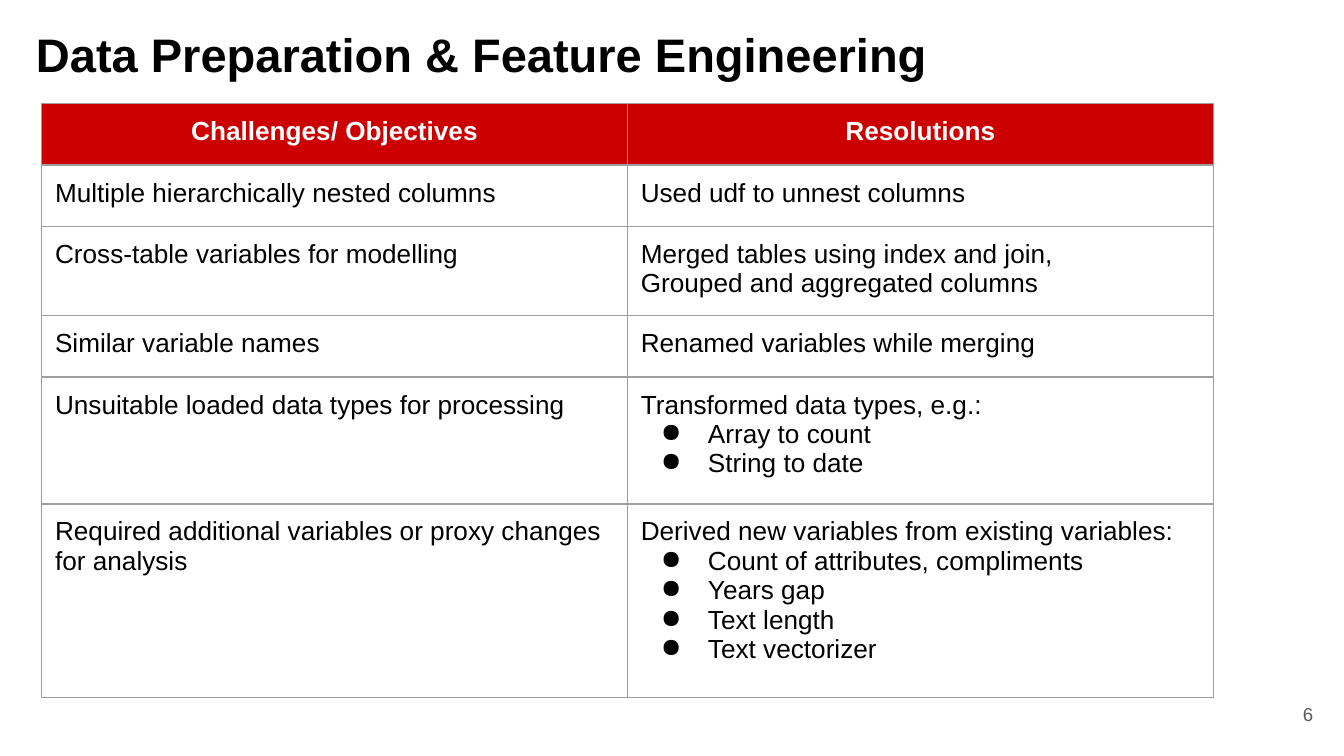
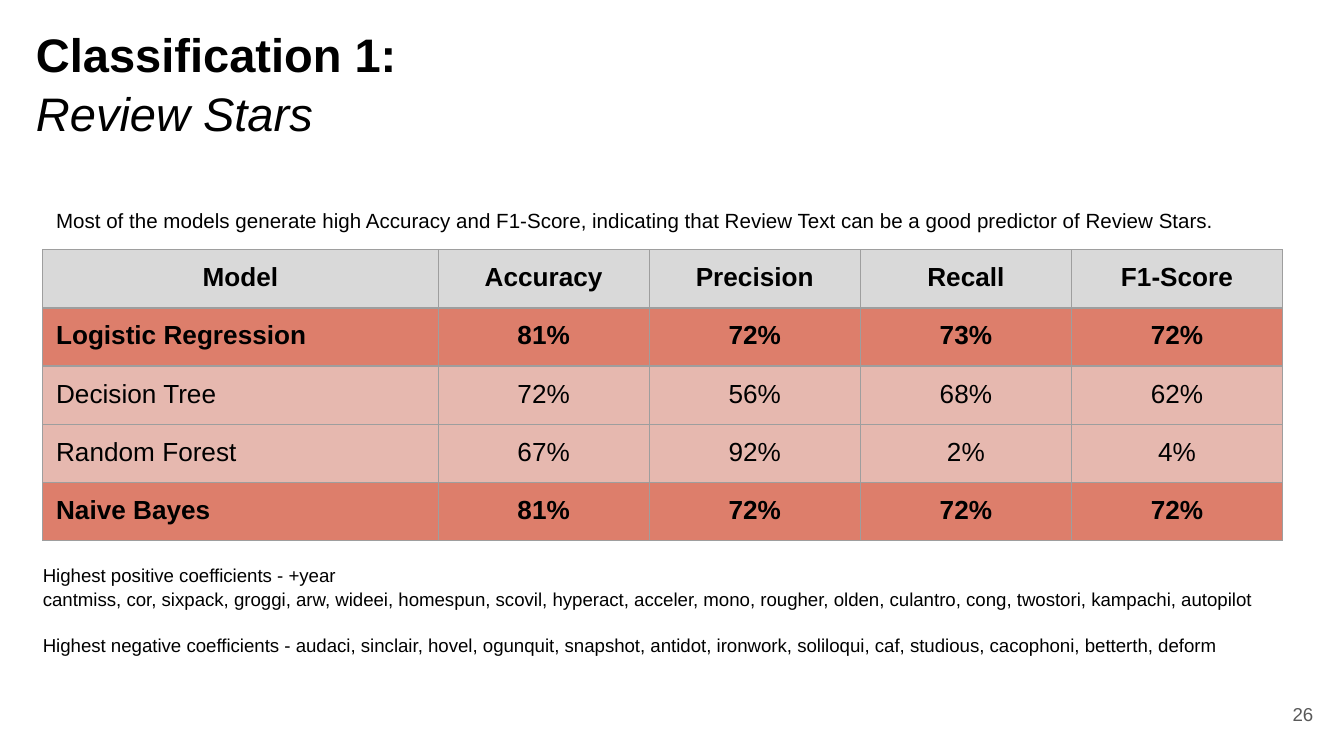
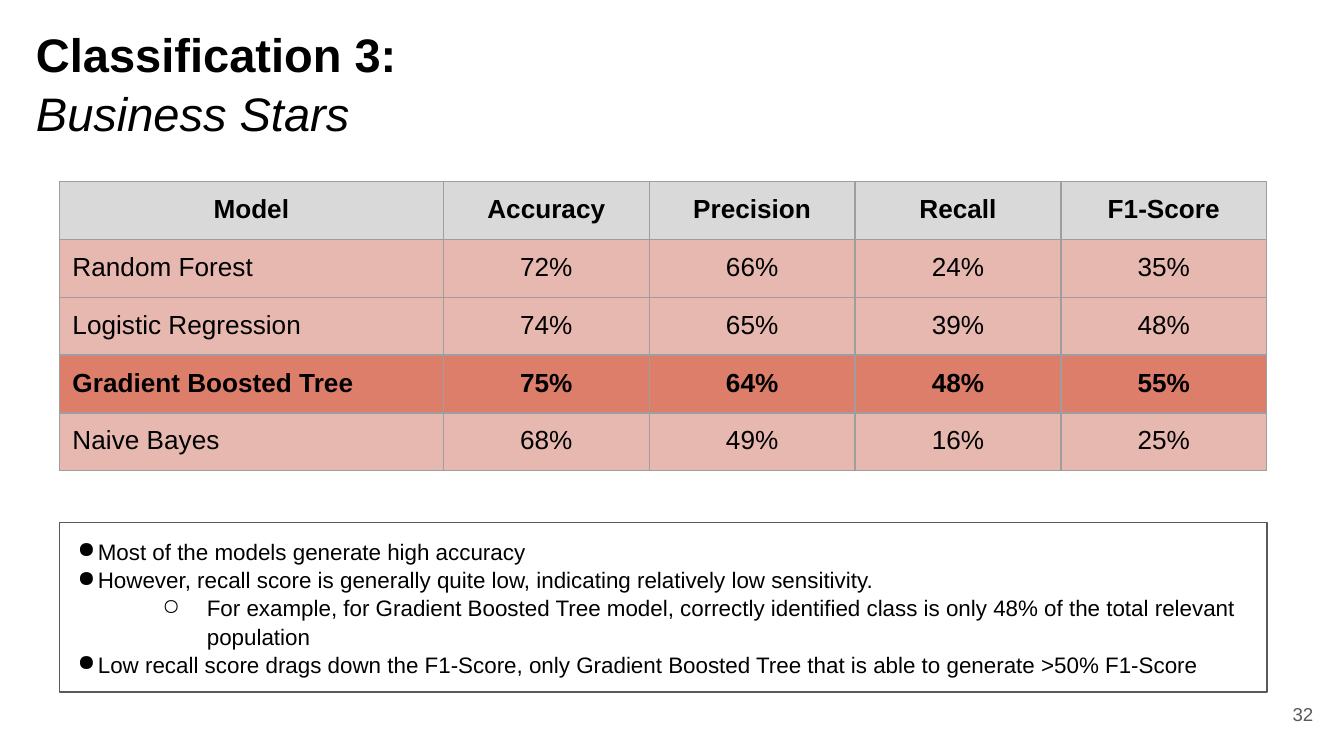
from dataclasses import dataclass

from lxml.etree import SubElement
from pptx import Presentation
from pptx.dml.color import RGBColor
from pptx.enum.shapes import MSO_SHAPE
from pptx.enum.text import MSO_ANCHOR, PP_ALIGN
from pptx.oxml.ns import qn
from pptx.slide import Slide
from pptx.table import _Cell
from pptx.text.text import TextFrame, _Paragraph
from pptx.util import Cm, Pt


@dataclass(frozen=True)
class Theme:
    font: str = "Arial"
    black: str = "000000"
    white: str = "FFFFFF"
    gray: str = "595959"
    rule: str = "9E9E9E"
    red: str = "CC0000"
    silver: str = "D9D9D9"
    coral: str = "DD7E6B"
    blush: str = "E6B8AF"
    title: float = 25.2
    table: float = 14
    box: float = 12
    lead: float = 11
    small: float = 10
    stroke: float = 0.75
    inset: float = 0.25
    spread: float = 1.05


THEME = Theme()


@dataclass(frozen=True)
class Area:
    """A place on the slide, in centimetres."""
    left: float
    top: float
    width: float
    height: float


@dataclass(frozen=True)
class Bullet:
    """A list mark with its left margin and hanging indent in centimetres."""
    mark: str
    left: float
    hang: float
    level: int = 0


@dataclass(frozen=True)
class Line:
    text: str
    bold: bool = False
    slant: bool = False
    bullet: Bullet | None = None
    before: float = 0


@dataclass(frozen=True)
class Style:
    size: float
    color: str = THEME.black
    align: PP_ALIGN = PP_ALIGN.LEFT
    spread: float = THEME.spread


@dataclass(frozen=True)
class Row:
    cells: list[list[Line]]
    height: float
    fill: str | None = None
    color: str = THEME.black
    head: bool = False


@dataclass(frozen=True)
class Grid:
    left: float
    top: float
    widths: list[float]
    rows: list[Row]
    center: bool = False


CELL_DOT = Bullet("●", 1.27, 0.89)
BOX_DOT = Bullet("●", 0.48, 0.38)
BOX_RING = Bullet("○", 2.54, 0.84, 1)

PAGE = Area(23.55, 12.95, 1.52, 1.09)
HEADS = ["Model", "Accuracy", "Precision", "Recall", "F1-Score"]


def mark_line(para: _Paragraph, bullet: Bullet) -> None:
    para.level = bullet.level
    props = para._p.get_or_add_pPr()
    props.set("marL", str(Cm(bullet.left)))
    props.set("indent", str(-Cm(bullet.hang)))
    tint = SubElement(props, qn("a:buClr"))
    SubElement(tint, qn("a:srgbClr"), val=THEME.black)
    SubElement(props, qn("a:buChar"), char=bullet.mark)


def write(frame: TextFrame, lines: list[Line], style: Style) -> None:
    for index, line in enumerate(lines):
        para = frame.add_paragraph() if index else frame.paragraphs[0]
        para.text = line.text
        if line.bullet:
            mark_line(para, line.bullet)
        para.alignment = style.align
        para.line_spacing = style.spread
        if line.before:
            para.space_before = Pt(line.before)
        for run in para.runs:
            font = run.font
            font.name, font.size = THEME.font, Pt(style.size)
            font.bold, font.italic = line.bold, line.slant
            font.color.rgb = RGBColor.from_string(style.color)


def pad(item: TextFrame | _Cell) -> None:
    item.margin_left = item.margin_right = Cm(THEME.inset)
    item.margin_top = item.margin_bottom = Cm(THEME.inset)


def add_text(slide: Slide, area: Area, lines: list[Line], style: Style,
             framed: bool = False, anchor: MSO_ANCHOR = MSO_ANCHOR.TOP) -> None:
    place = Cm(area.left), Cm(area.top), Cm(area.width), Cm(area.height)
    if framed:
        shape = slide.shapes.add_shape(MSO_SHAPE.RECTANGLE, *place)
        shape.shadow.inherit = False
        shape.fill.background()
        shape.line.color.rgb = RGBColor.from_string(THEME.gray)
        shape.line.width = Pt(THEME.stroke)
    else:
        shape = slide.shapes.add_textbox(*place)
    frame = shape.text_frame
    frame.word_wrap = True
    frame.vertical_anchor = anchor
    pad(frame)
    write(frame, lines, style)


def edge_cell(cell: _Cell) -> None:
    """Draw the four borders; call before the fill is set."""
    props = cell._tc.get_or_add_tcPr()
    for side in ("lnL", "lnR", "lnT", "lnB"):
        edge = SubElement(props, qn(f"a:{side}"), w=str(Pt(THEME.stroke)))
        fill = SubElement(edge, qn("a:solidFill"))
        SubElement(fill, qn("a:srgbClr"), val=THEME.rule)


def add_grid(slide: Slide, grid: Grid) -> None:
    table = slide.shapes.add_table(
        len(grid.rows), len(grid.widths), Cm(grid.left), Cm(grid.top),
        Cm(sum(grid.widths)), Cm(sum(row.height for row in grid.rows))).table
    table.first_row = table.horz_banding = False
    for column, width in zip(table.columns, grid.widths):
        column.width = Cm(width)
    for y, row in enumerate(grid.rows):
        table.rows[y].height = Cm(row.height)
        for x, lines in enumerate(row.cells):
            cell = table.cell(y, x)
            pad(cell)
            edge_cell(cell)
            if row.fill:
                cell.fill.solid()
                cell.fill.fore_color.rgb = RGBColor.from_string(row.fill)
            else:
                cell.fill.background()
            middle = row.head or (grid.center and x > 0)
            align = PP_ALIGN.CENTER if middle else PP_ALIGN.LEFT
            write(cell.text_frame, lines,
                  Style(THEME.table, row.color, align, 1.0))


def score_grid(left: float, top: float, widths: tuple[float, float],
               height: float, scores: list[str], best: set[str]) -> Grid:
    """Lay out model scores, with the best models in bold on coral."""
    rows = [Row([[Line(head, bold=True)] for head in HEADS],
                height, THEME.silver, head=True)]
    for score in scores:
        model, *values = score.split(", ")
        top_model = model in best
        cells = [[Line(text, bold=top_model)] for text in (model, *values)]
        rows.append(Row(cells, height,
                        THEME.coral if top_model else THEME.blush))
    first, other = widths
    return Grid(left, top, [first] + [other] * (len(HEADS) - 1), rows, True)


def add_slide(deck: Presentation, number: int, title: str,
              topic: str = "") -> Slide:
    slide = deck.slides.add_slide(deck.slide_layouts[6])
    add_text(slide, PAGE, [Line(str(number))],
             Style(THEME.small, THEME.gray, PP_ALIGN.RIGHT),
             anchor=MSO_ANCHOR.MIDDLE)
    lines = [Line(title, bold=True)]
    if topic:
        lines.append(Line(topic, slant=True))
    add_text(slide, Area(0.43, 0.18, 19.69, 2.57 if topic else 1.6),
             lines, Style(THEME.title))
    return slide


def add_prep(deck: Presentation) -> None:
    slide = add_slide(deck, 6, "Data Preparation & Feature Engineering")
    heads = ["Challenges/ Objectives", "Resolutions"]
    rows = [Row([[Line(head, bold=True)] for head in heads], 1.16,
                THEME.red, THEME.white, True)]
    tasks = [
        (1.16, "Multiple hierarchically nested columns",
         ["Used udf to unnest columns"], []),
        (1.63, "Cross-table variables for modelling",
         ["Merged tables using index and join,",
          "Grouped and aggregated columns"], []),
        (1.16, "Similar variable names",
         ["Renamed variables while merging"], []),
        (2.4, "Unsuitable loaded data types for processing",
         ["Transformed data types, e.g.:"],
         ["Array to count", "String to date"]),
        (3.66, "Required additional variables or proxy changes for analysis",
         ["Derived new variables from existing variables:"],
         ["Count of attributes, compliments", "Years gap",
          "Text length", "Text vectorizer"]),
    ]
    for height, task, plain, dots in tasks:
        fix = [Line(text) for text in plain]
        fix += [Line(text, bullet=CELL_DOT) for text in dots]
        rows.append(Row([[Line(task)], fix], height))
    add_grid(slide, Grid(0.79, 1.96, [11.07, 11.07], rows))


def add_review(deck: Presentation) -> None:
    slide = add_slide(deck, 26, "Classification 1:", "Review Stars")
    add_grid(slide, score_grid(0.81, 4.72, (7.47, 3.99), 1.1, [
        "Logistic Regression, 81%, 72%, 73%, 72%",
        "Decision Tree, 72%, 56%, 68%, 62%",
        "Random Forest, 67%, 92%, 2%, 4%",
        "Naive Bayes, 81%, 72%, 72%, 72%",
    ], {"Logistic Regression", "Naive Bayes"}))
    add_text(slide, Area(0.81, 3.66, 23.42, 0.99), [Line(
        "Most of the models generate high Accuracy and F1-Score, indicating "
        "that Review Text can be a good predictor of Review Stars.")],
        Style(THEME.lead))
    add_text(slide, Area(0.56, 10.39, 23.72, 2.24), [
        Line("Highest positive coefficients - +year"),
        Line("cantmiss, cor, sixpack, groggi, arw, wideei, homespun, scovil, "
             "hyperact, acceler, mono, rougher, olden, culantro, cong, "
             "twostori, kampachi, autopilot"),
        Line("Highest negative coefficients - audaci, sinclair, hovel, "
             "ogunquit, snapshot, antidot, ironwork, soliloqui, caf, "
             "studious, cacophoni, betterth, deform", before=12),
    ], Style(THEME.small))


def add_business(deck: Presentation) -> None:
    slide = add_slide(deck, 32, "Classification 3:", "Business Stars")
    add_grid(slide, score_grid(1.12, 3.43, (7.26, 3.89), 1.06, [
        "Random Forest, 72%, 66%, 24%, 35%",
        "Logistic Regression, 74%, 65%, 39%, 48%",
        "Gradient Boosted Tree, 75%, 64%, 48%, 55%",
        "Naive Bayes, 68%, 49%, 16%, 25%",
    ], {"Gradient Boosted Tree"}))
    add_text(slide, Area(1.12, 9.88, 22.83, 3.2), [
        Line("Most of the models generate high accuracy", bullet=BOX_DOT),
        Line("However, recall score is generally quite low, indicating "
             "relatively low sensitivity.", bullet=BOX_DOT),
        Line("For example, for Gradient Boosted Tree model, correctly "
             "identified class is only 48% of the total relevant population",
             bullet=BOX_RING),
        Line("Low recall score drags down the F1-Score, only Gradient Boosted "
             "Tree that is able to generate >50% F1-Score", bullet=BOX_DOT),
    ], Style(THEME.box), framed=True, anchor=MSO_ANCHOR.MIDDLE)


def main() -> None:
    deck = Presentation()
    deck.slide_width, deck.slide_height = Cm(25.4), Cm(14.29)
    add_prep(deck)
    add_review(deck)
    add_business(deck)
    deck.save("out.pptx")


if __name__ == "__main__":
    main()
